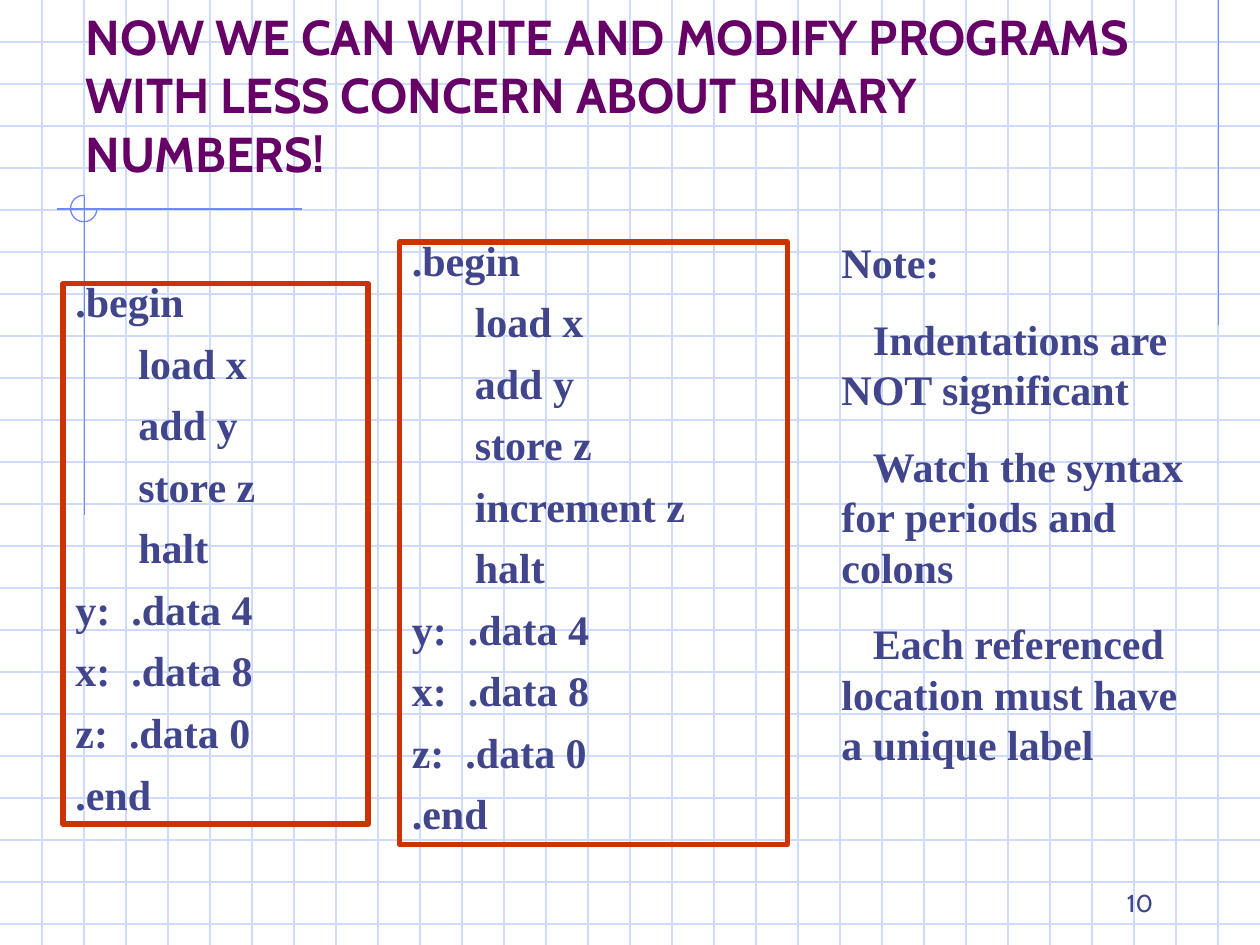
import dataclasses
import pptx
import pptx.dml.color
import pptx.enum.shapes
import pptx.enum.text
import pptx.oxml
import pptx.oxml.ns
import pptx.util

Inches = pptx.util.Inches
Pt = pptx.util.Pt
Align = pptx.enum.text.PP_ALIGN
Anchor = pptx.enum.text.MSO_ANCHOR
Shape = pptx.enum.shapes.MSO_SHAPE


@dataclasses.dataclass(frozen=True)
class Theme:
    grid: str = "CFDBFD"
    accent: str = "6F89F7"
    title: str = "660066"
    frame: str = "CC3300"
    text: str = "40458C"
    sans: str = "Cabin"
    serif: str = "Times New Roman"
    head: int = 28
    body: int = 24
    small: int = 14
    gap: int = 15
    thin: float = 0.75
    thick: int = 3


THEME = Theme()
START = [".begin", "\tload x", "\tadd y", "\tstore z"]
FINISH = ["\thalt", "y:  .data 4", "x:  .data 8", "z:  .data 0", ".end"]
NOTES = [
    "Note:",
    "Indentations are NOT significant",
    "Watch the syntax for periods and colons",
    "Each referenced location must have a unique label",
]


def paint(color):
    return pptx.dml.color.RGBColor.from_string(color)


def draw_line(slide, start, end, color):
    kind = pptx.enum.shapes.MSO_CONNECTOR.STRAIGHT
    line = slide.shapes.add_connector(kind, *map(Inches, start + end))
    line.line.color.rgb = paint(color)
    line.line.width = Pt(THEME.thin)
    props = line.element.find(pptx.oxml.ns.qn("p:spPr"))
    props.append(pptx.oxml.parse_xml(
        f'<a:effectLst {pptx.oxml.ns.nsdecls("a")}/>'))


def draw_grid(slide):
    for row in range(1, 23):
        draw_line(slide, (0, row / 3), (10, row / 3), THEME.grid)
    for col in range(1, 30):
        draw_line(slide, (col / 3, 0), (col / 3, 7.5), THEME.grid)


def draw_accents(slide):
    draw_line(slide, (9.67, 0), (9.67, 2.58), THEME.accent)
    draw_line(slide, (2.4, 1.66), (0.45, 1.66), THEME.accent)
    draw_line(slide, (0.67, 1.55), (0.67, 4.09), THEME.accent)
    arc = add_form(slide, Shape.ARC, (0.56, 1.55, 0.21, 0.21),
                   THEME.accent, THEME.thin)
    arc.adjustments[0] = 0
    arc.adjustments[1] = 162


def add_form(slide, kind, place, color, width):
    form = slide.shapes.add_shape(kind, *map(Inches, place))
    form.shadow.inherit = False
    form.fill.background()
    form.line.color.rgb = paint(color)
    form.line.width = Pt(width)
    return form


def set_frame(frame, anchor=Anchor.TOP):
    frame.word_wrap = True
    frame.auto_size = pptx.enum.text.MSO_AUTO_SIZE.NONE
    frame.vertical_anchor = anchor
    frame.margin_left = frame.margin_right = Inches(0.1)
    frame.margin_top = frame.margin_bottom = Inches(0.05)


def add_text(para, text, face, size, color, bold=True, align=Align.LEFT):
    para.alignment = align
    run = para.add_run()
    run.text = text
    run.font.name = face
    run.font.size = Pt(size)
    run.font.bold = bold
    run.font.color.rgb = paint(color)


def add_lines(frame, lines):
    for index, text in enumerate(lines):
        para = frame.add_paragraph() if index else frame.paragraphs[0]
        para.space_before = Pt(THEME.gap if index else 0)
        add_text(para, text, THEME.serif, THEME.body, THEME.text)


def add_title(slide, text):
    title = slide.shapes.title
    title.left, title.top, title.width, title.height = map(
        Inches, (0.58, 0.25, 8.5, 1.25))
    title.element.getparent().append(title.element)
    set_frame(title.text_frame, Anchor.BOTTOM)
    add_text(title.text_frame.paragraphs[0], text,
             THEME.sans, THEME.head, THEME.title)


def add_code(slide, place, lines):
    box = add_form(slide, Shape.RECTANGLE, place, THEME.frame, THEME.thick)
    set_frame(box.text_frame)
    add_lines(box.text_frame, lines)
    for para in box.text_frame.paragraphs:
        para.line_spacing = 0.7


def add_notes(slide, place, lines):
    frame = slide.shapes.add_textbox(*map(Inches, place)).text_frame
    set_frame(frame)
    add_lines(frame, lines)
    for para in frame.paragraphs[1:]:
        para._p.get_or_add_pPr().set("indent", str(Inches(0.25)))


def add_number(slide, place, text):
    frame = slide.shapes.add_textbox(*map(Inches, place)).text_frame
    set_frame(frame, Anchor.BOTTOM)
    add_text(frame.paragraphs[0], text, THEME.sans, THEME.small,
             THEME.text, False, Align.RIGHT)


def main():
    deck = pptx.Presentation()
    deck.slide_width, deck.slide_height = Inches(10), Inches(7.5)
    slide = deck.slides.add_slide(deck.slide_layouts[5])
    draw_grid(slide)
    draw_accents(slide)
    add_title(slide, "NOW WE CAN WRITE AND MODIFY PROGRAMS "
                     "WITH LESS CONCERN ABOUT BINARY NUMBERS!")
    add_code(slide, (0.5, 2.25, 2.42, 4.29), START + FINISH)
    add_code(slide, (3.17, 1.92, 3.08, 4.78),
             START + ["\tincrement z"] + FINISH)
    add_notes(slide, (6.58, 1.83, 2.92, 4.33), NOTES)
    add_number(slide, (7.17, 6.83, 2.08, 0.5), "10")
    deck.save("out.pptx")


if __name__ == "__main__":
    main()
